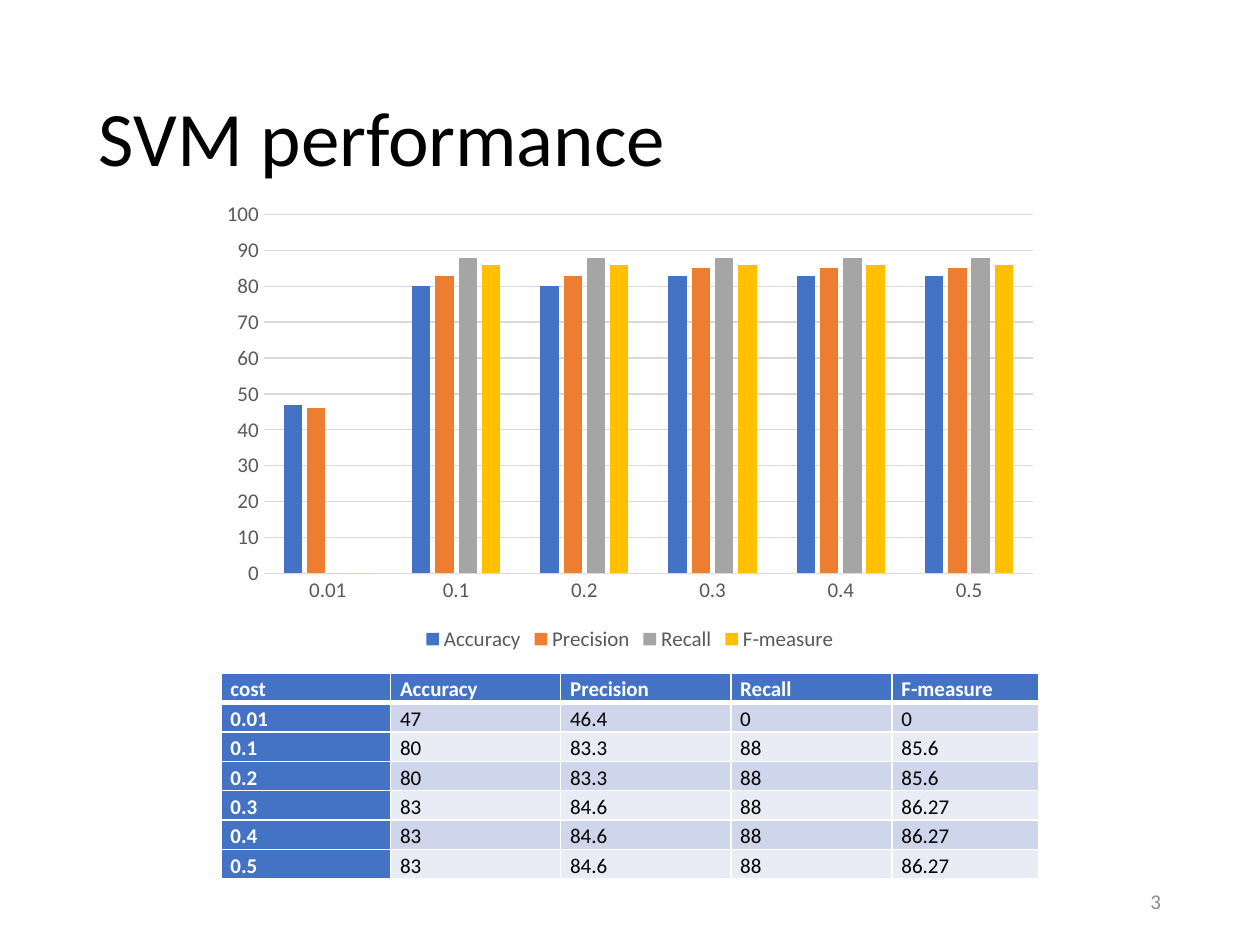
"""Build the SVM performance slide with its column chart and score table."""
from dataclasses import dataclass

from lxml import etree
from pptx import Presentation
from pptx.chart.data import CategoryChartData
from pptx.dml.color import RGBColor
from pptx.enum.chart import XL_CHART_TYPE, XL_LEGEND_POSITION, XL_TICK_MARK
from pptx.enum.text import MSO_ANCHOR, PP_ALIGN
from pptx.oxml.ns import qn
from pptx.util import Pt

COLUMNS = XL_CHART_TYPE.COLUMN_CLUSTERED
BOTTOM = XL_LEGEND_POSITION.BOTTOM
NO_TICK = XL_TICK_MARK.NONE
MIDDLE = MSO_ANCHOR.MIDDLE
LEFT, RIGHT, JUSTIFY = PP_ALIGN.LEFT, PP_ALIGN.RIGHT, PP_ALIGN.JUSTIFY

HEADING = "SVM performance"
PAGE_NUMBER = "3"
MEASURES = ["cost", "Accuracy", "Precision", "Recall", "F-measure"]
SCORES = [
    ("0.01", 47, 46.4, 0, 0),
    ("0.1", 80, 83.3, 88, 85.6),
    ("0.2", 80, 83.3, 88, 85.6),
    ("0.3", 83, 84.6, 88, 86.27),
    ("0.4", 83, 84.6, 88, 86.27),
    ("0.5", 83, 84.6, 88, 86.27),
]


@dataclass(frozen=True)
class Theme:
    font: str = "Calibri"
    heading_size: int = 44
    body_size: int = 12
    ink: str = "000000"
    paper: str = "FFFFFF"
    header: str = "4472C4"
    bands: tuple = ("CFD5EA", "E9EBF5")
    series: tuple = ("4472C4", "ED7D31", "A5A5A5", "FFC000")
    label: str = "595959"
    rule: str = "D9D9D9"
    muted: str = "8C8C8C"


THEME = Theme()
SLIDE_SIZE = (720, 540)
HEADING_BOX = (49.5, 28.75, 621, 104.4)
SCORE_BOX = (126.3, 384.5, 467, 118)
NUMBER_BOX = (508.5, 500.5, 162, 28.75)
CHART_BOX = (120, 110.2, 480, 265)
COLUMN_WIDTHS = (96.9, 97.2, 97.2, 92.1, 83.6)


def apply(target, values):
    for attribute, value in values.items():
        setattr(target, attribute, value)


def style_font(font, color, size=THEME.body_size, bold=False):
    apply(font, {"name": THEME.font, "size": Pt(size), "bold": bold})
    font.color.rgb = RGBColor.from_string(color)


def paint(fill, color):
    fill.solid()
    fill.fore_color.rgb = RGBColor.from_string(color)


def draw_line(line, color):
    paint(line.fill, color)
    line.width = Pt(0.75)


def write(frame, text, color, align, spacing=1.0, **font_values):
    paragraph = frame.paragraphs[0]
    apply(paragraph, {"alignment": align, "line_spacing": spacing})
    run = paragraph.add_run()
    run.text = text
    style_font(run.font, color, **font_values)


def add_text(slide, box, *content, **values):
    frame = slide.shapes.add_textbox(*map(Pt, box)).text_frame
    apply(frame, {"word_wrap": True, "vertical_anchor": MIDDLE})
    write(frame, *content, **values)


def add_borders(cell, widths):
    properties = cell._tc.get_or_add_tcPr()
    for position, (side, width) in enumerate(widths.items()):
        border = etree.Element(qn(f"a:ln{side}"), w=str(int(Pt(width))))
        fill = etree.SubElement(border, qn("a:solidFill"))
        etree.SubElement(fill, qn("a:srgbClr"), val=THEME.paper)
        properties.insert(position, border)


def add_scores(slide):
    rows = [MEASURES, *SCORES]
    table = slide.shapes.add_table(len(rows), len(MEASURES), *map(Pt, SCORE_BOX)).table
    for column, width in zip(table.columns, COLUMN_WIDTHS):
        column.width = Pt(width)
    for r, row in enumerate(rows):
        table.rows[r].height = Pt(SCORE_BOX[3] / len(rows))
        for c, value in enumerate(row):
            cell = table.cell(r, c)
            heading = r == 0 or c == 0
            apply(cell, {"margin_left": Pt(5.4), "margin_right": Pt(5.4),
                         "margin_top": 0, "margin_bottom": 0})
            write(cell.text_frame, str(value), THEME.paper if heading else THEME.ink,
                  JUSTIFY, spacing=1.15, bold=heading)
            paint(cell.fill, THEME.header if heading else THEME.bands[(r - 1) % 2])
            add_borders(cell, {"L": 1, "R": 1, "T": 3 if r == 1 else 1,
                               "B": 3 if r == 0 else 1})


def add_score_chart(slide):
    costs, *measured = zip(*SCORES)
    data = CategoryChartData()
    data.categories = costs
    for measure, values in zip(MEASURES[1:], measured):
        data.add_series(measure, [round(value) for value in values])
    chart = slide.shapes.add_chart(COLUMNS, *map(Pt, CHART_BOX), data).chart
    apply(chart, {"has_title": False, "has_legend": True})
    style_font(chart.font, THEME.label)
    apply(chart.legend, {"position": BOTTOM, "include_in_layout": False})
    style_font(chart.legend.font, THEME.label)

    plot = chart.plots[0]
    apply(plot, {"gap_width": 219, "overlap": -27, "vary_by_categories": False})
    for series, color in zip(plot.series, THEME.series):
        series.invert_if_negative = False
        paint(series.format.fill, color)

    for axis in (chart.category_axis, chart.value_axis):
        apply(axis, {"major_tick_mark": NO_TICK, "minor_tick_mark": NO_TICK})
        style_font(axis.tick_labels.font, THEME.label)
    draw_line(chart.category_axis.format.line, THEME.rule)
    apply(chart.value_axis, {"minimum_scale": 0, "maximum_scale": 100, "major_unit": 10,
                             "has_major_gridlines": True})
    chart.value_axis.format.line.fill.background()
    draw_line(chart.value_axis.major_gridlines.format.line, THEME.rule)


def main():
    deck = Presentation()
    deck.slide_width, deck.slide_height = map(Pt, SLIDE_SIZE)
    slide = deck.slides.add_slide(deck.slide_layouts[6])
    add_text(slide, HEADING_BOX, HEADING, THEME.ink, LEFT, spacing=0.9,
             size=THEME.heading_size)
    add_scores(slide)
    add_text(slide, NUMBER_BOX, PAGE_NUMBER, THEME.muted, RIGHT)
    add_score_chart(slide)
    deck.save("out.pptx")


main()
